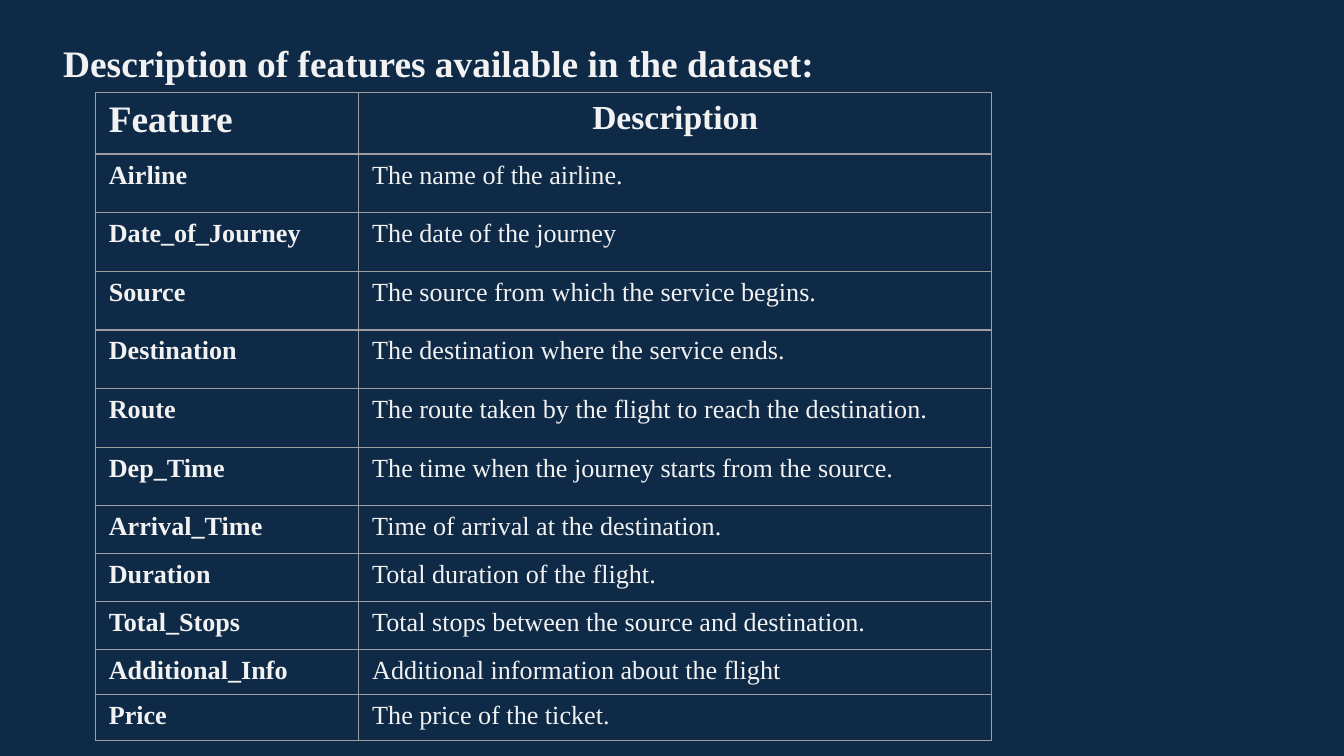
from pptx import Presentation
from pptx.dml.color import RGBColor
from pptx.enum.text import MSO_ANCHOR as Anchor, MSO_AUTO_SIZE as AutoSize, PP_ALIGN as Align
from pptx.oxml import parse_xml
from pptx.oxml.ns import nsdecls
from pptx.util import Inches, Pt

WIDTH = 10
HEIGHT = WIDTH * 9 / 16
FONT = "Times New Roman"
NAVY, PALE, GREY = "0E2A47", "F2F2F2", "9E9E9E"

# Boxes: left, top, width, height in inches
TITLE_BOX = (0.37, 0.25, 7.09, 0.44)
TABLE_BOX = (0.71, 0.69, 6.67, 4.82)

# Relative sizes of the table's columns and rows
COLUMN_WEIGHTS = [1.96, 4.71]
ROW_WEIGHTS = [0.46] + [0.44] * 6 + [0.36] * 3 + [0.34] * 2

FEATURES = [
    ("Airline", "The name of the airline."),
    ("Date_of_Journey", "The date of the journey"),
    ("Source", "The source from which the service begins."),
    ("Destination", "The destination where the service ends."),
    ("Route", "The route taken by the flight to reach the destination."),
    ("Dep_Time", "The time when the journey starts from the source."),
    ("Arrival_Time", "Time of arrival at the destination."),
    ("Duration", "Total duration of the flight."),
    ("Total_Stops", "Total stops between the source and destination."),
    ("Additional_Info", "Additional information about the flight"),
    ("Price", "The price of the ticket."),
]


def color(value):
    return RGBColor.from_string(value)


def split(length, weights):
    return [Inches(length * weight / sum(weights)) for weight in weights]


def write(frame, text, size=14, bold=False, align=Align.LEFT, fill=PALE):
    paragraph = frame.paragraphs[0]
    paragraph.alignment = align
    run = paragraph.add_run()
    run.text = text
    run.font.name = FONT
    run.font.size = Pt(size)
    run.font.bold = bold
    run.font.color.rgb = color(fill)


def add_borders(cell, line=GREY, width=0.75):
    properties = cell._tc.get_or_add_tcPr()
    for index, side in enumerate(("lnL", "lnR", "lnT", "lnB")):
        properties.insert(index, parse_xml(
            f'<a:{side} {nsdecls("a")} w="{Pt(width)}"><a:solidFill>'
            f'<a:srgbClr val="{line}"/></a:solidFill></a:{side}>'))


def add_title(slide, box, text):
    title = slide.shapes.title
    title.left, title.top, title.width, title.height = map(Inches, box)
    frame = title.text_frame
    frame.word_wrap = True
    frame.auto_size = AutoSize.SHAPE_TO_FIT_TEXT
    frame.vertical_anchor = Anchor.TOP
    write(frame, text, size=20, bold=True)


def add_feature_table(slide, box, features):
    width, height = box[2:]
    rows = [("Feature", "Description")] + features
    table = slide.shapes.add_table(len(rows), 2, *map(Inches, box)).table

    # Grid
    for column, column_width in zip(table.columns, split(width, COLUMN_WEIGHTS)):
        column.width = column_width
    for row, row_height in zip(table.rows, split(height, ROW_WEIGHTS)):
        row.height = row_height

    # Header and body cells
    for row_index, texts in enumerate(rows):
        for column_index, text in enumerate(texts):
            cell = table.cell(row_index, column_index)
            cell.fill.background()
            add_borders(cell)
            if row_index == 0:
                size, align = ((20, Align.LEFT), (18, Align.CENTER))[column_index]
                write(cell.text_frame, text, size=size, bold=True, align=align)
            else:
                write(cell.text_frame, text, bold=column_index == 0)


def main():
    presentation = Presentation()
    presentation.slide_width = Inches(WIDTH)
    presentation.slide_height = Inches(HEIGHT)
    slide = presentation.slides.add_slide(presentation.slide_layouts.get_by_name("Title Only"))
    slide.background.fill.solid()
    slide.background.fill.fore_color.rgb = color(NAVY)

    add_title(slide, TITLE_BOX, "Description of features available in the dataset:")
    add_feature_table(slide, TABLE_BOX, FEATURES)
    presentation.save("out.pptx")


if __name__ == "__main__":
    main()
